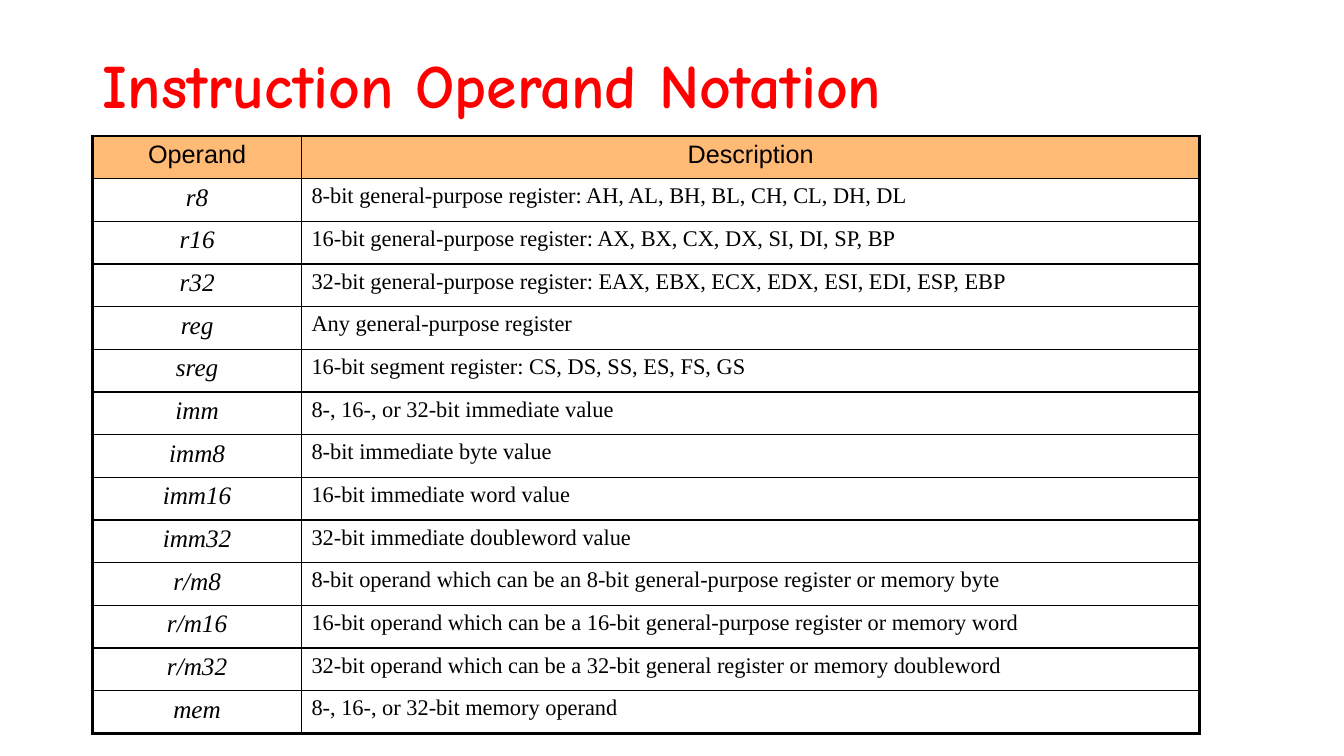
from dataclasses import dataclass

from lxml.etree import SubElement
from pptx import Presentation
from pptx.dml.color import RGBColor
from pptx.enum.text import MSO_ANCHOR, PP_ALIGN
from pptx.oxml.ns import qn
from pptx.util import Inches, Pt

TITLE = "Instruction Operand Notation"
HEADER = ("Operand", "Description")
OPERANDS = [
    ("r8", "8-bit general-purpose register: AH, AL, BH, BL, CH, CL, DH, DL"),
    ("r16", "16-bit general-purpose register: AX, BX, CX, DX, SI, DI, SP, BP"),
    ("r32", "32-bit general-purpose register: EAX, EBX, ECX, EDX, ESI, EDI, ESP, EBP"),
    ("reg", "Any general-purpose register"),
    ("sreg", "16-bit segment register: CS, DS, SS, ES, FS, GS"),
    ("imm", "8-, 16-, or 32-bit immediate value"),
    ("imm8", "8-bit immediate byte value"),
    ("imm16", "16-bit immediate word value"),
    ("imm32", "32-bit immediate doubleword value"),
    ("r/m8", "8-bit operand which can be an 8-bit general-purpose register or memory byte"),
    ("r/m16", "16-bit operand which can be a 16-bit general-purpose register or memory word"),
    ("r/m32", "32-bit operand which can be a 32-bit general register or memory doubleword"),
    ("mem", "8-, 16-, or 32-bit memory operand"),
]
LEFT, TITLE_TOP, TABLE_TOP = 0.92, 0.4, 1.35
TITLE_SIZE = (11.5, 0.95)
COLUMN_WIDTHS = (2.07, 8.91)
TABLE_HEIGHT = 5.93


@dataclass(frozen=True)
class Theme:
    title_color: RGBColor = RGBColor(0xFF, 0x00, 0x00)
    text_color: RGBColor = RGBColor(0x00, 0x00, 0x00)
    header_fill: RGBColor = RGBColor(0xFF, 0xBA, 0x75)
    title_font: str = "Comic Neue"
    header_font: str = "Arial"
    body_font: str = "Times New Roman"
    title_size: Pt = Pt(44)
    operand_size: Pt = Pt(18)
    description_size: Pt = Pt(16)
    outer_line: Pt = Pt(2.25)
    inner_line: Pt = Pt(1)


THEME = Theme()


def set_font(paragraph, name, size, color, bold=False, italic=False):
    font = paragraph.font
    font.name, font.size = name, size
    font.bold, font.italic = bold, italic
    font.color.rgb = color


def set_borders(cell, outer_sides):
    """Draw all four borders, with the heavier line on the outer sides."""
    properties = cell._tc.get_or_add_tcPr()
    for side in "LRTB":
        width = THEME.outer_line if side in outer_sides else THEME.inner_line
        line = SubElement(properties, qn(f"a:ln{side}"), w=str(int(width)))
        fill = SubElement(line, qn("a:solidFill"))
        SubElement(fill, qn("a:srgbClr"), val=str(THEME.text_color))


def add_title(slide):
    width, height = TITLE_SIZE
    box = slide.shapes.add_textbox(
        Inches(LEFT), Inches(TITLE_TOP), Inches(width), Inches(height))
    frame = box.text_frame
    frame.word_wrap = True
    frame.vertical_anchor = MSO_ANCHOR.MIDDLE
    paragraph = frame.paragraphs[0]
    paragraph.text = TITLE
    paragraph.line_spacing = 0.9
    set_font(paragraph, THEME.title_font, THEME.title_size, THEME.title_color, bold=True)


def fill_cell(cell, text, is_header, is_operand):
    paragraph = cell.text_frame.paragraphs[0]
    paragraph.text = text
    centred = is_header or is_operand
    paragraph.alignment = PP_ALIGN.CENTER if centred else PP_ALIGN.LEFT
    set_font(
        paragraph,
        THEME.header_font if is_header else THEME.body_font,
        THEME.operand_size if centred else THEME.description_size,
        THEME.text_color,
        italic=is_operand and not is_header,
    )
    if is_header:
        cell.fill.solid()
        cell.fill.fore_color.rgb = THEME.header_fill
    else:
        cell.fill.background()


def add_operand_table(slide):
    rows = [HEADER, *OPERANDS]
    table = slide.shapes.add_table(
        len(rows), len(HEADER), Inches(LEFT), Inches(TABLE_TOP),
        Inches(sum(COLUMN_WIDTHS)), Inches(TABLE_HEIGHT)).table
    table.first_row = table.horz_banding = False
    for column, width in zip(table.columns, COLUMN_WIDTHS):
        column.width = Inches(width)
    for row_index, row in enumerate(rows):
        table.rows[row_index].height = Inches(TABLE_HEIGHT / len(rows))
        is_header = row_index == 0
        is_last = row_index == len(rows) - 1
        for column_index, text in enumerate(row):
            is_operand = column_index == 0
            outer_sides = ("L" if is_operand else "R") + "T" * is_header + "B" * is_last
            cell = table.cell(row_index, column_index)
            set_borders(cell, outer_sides)
            fill_cell(cell, text, is_header, is_operand)


def main():
    presentation = Presentation()
    presentation.slide_width = Inches(13.33)
    presentation.slide_height = Inches(7.5)
    slide = presentation.slides.add_slide(presentation.slide_layouts[6])
    add_operand_table(slide)
    add_title(slide)
    presentation.save("out.pptx")


if __name__ == "__main__":
    main()
